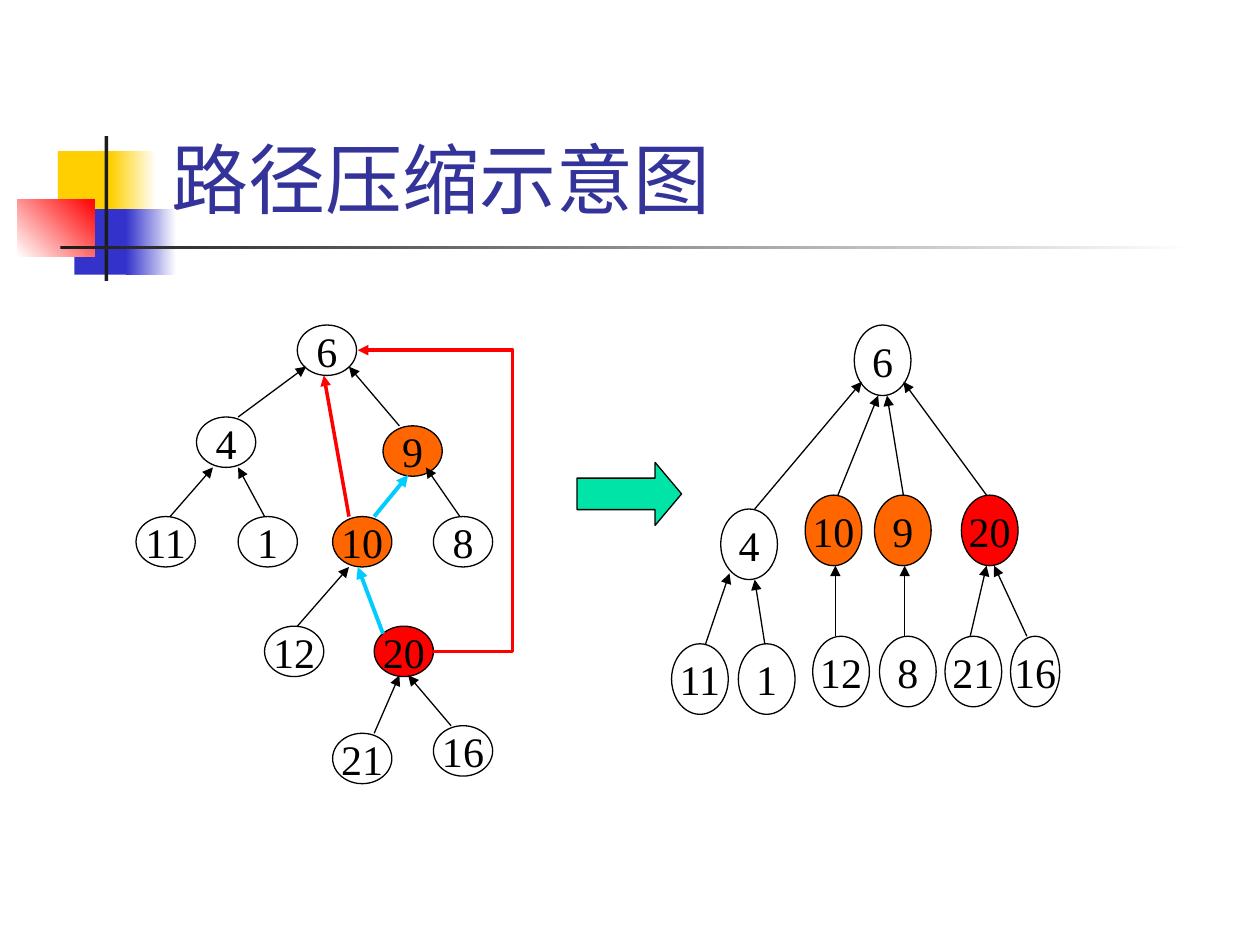
from lxml import etree
from pptx import Presentation
from pptx.dml.color import RGBColor
from pptx.enum import shapes, text
from pptx.oxml.ns import qn
from pptx.util import Inches, Pt

BLACK = RGBColor(0x00, 0x00, 0x00)
WHITE = RGBColor(0xFF, 0xFF, 0xFF)
RED = RGBColor(0xFF, 0x00, 0x00)
ORANGE = RGBColor(0xFF, 0x66, 0x00)
SKY = RGBColor(0x00, 0xCC, 0xFF)
GREEN = RGBColor(0x00, 0xE4, 0xA8)
YELLOW = RGBColor(0xFF, 0xCF, 0x01)
BLUE = RGBColor(0x33, 0x33, 0xCC)
INK = RGBColor(0x1C, 0x1C, 0x1C)
NAVY = RGBColor(0x33, 0x33, 0x99)

TITLE = "路径压缩示意图"
# box (left, top, width, height), start colour, end colour, gradient angle
ORNAMENTS = [
    ((0.46, 1.2, 0.48, 0.52), YELLOW, None, 0),
    ((0.88, 1.2, 0.36, 0.52), YELLOW, WHITE, 0),
    ((0.59, 1.66, 0.46, 0.52), BLUE, None, 0),
    ((1, 1.66, 0.4, 0.52), BLUE, WHITE, 0),
    ((0.14, 1.58, 0.61, 0.46), WHITE, RED, 45),
    ((0.83, 1.08, 0.03, 1.15), INK, None, 0),
    ((0.48, 1.95, 9, 0.03), INK, WHITE, 0),
]

# Nodes: label -> (left, top). Edges: (child point, parent point).
BEFORE = {
    "size": (0.47, 0.4),
    "nodes": {
        "6": (2.36, 2.58), "4": (1.56, 3.31), "9": (3.04, 3.38),
        "11": (1.08, 4.1), "1": (1.89, 4.1), "10": (2.64, 4.1), "8": (3.44, 4.1),
        "12": (2.1, 4.97), "20": (2.97, 4.97), "21": (2.64, 5.82), "16": (3.44, 5.76),
    },
    "edges": [
        ((3.17, 3.38), (2.77, 2.91)), ((3.65, 4.1), (3.38, 3.71)),
        ((2.36, 4.97), (2.77, 4.5)), ((2.97, 5.82), (3.17, 5.36)),
        ((3.58, 5.76), (3.24, 5.36)), ((1.89, 3.31), (2.43, 2.91)),
        ((1.35, 4.1), (1.69, 3.71)), ((2.1, 4.1), (1.89, 3.71)),
    ],
}
AFTER = {
    "size": (0.45, 0.56),
    "nodes": {
        "6": (6.78, 2.58), "4": (5.72, 4.04), "10": (6.39, 3.93), "9": (6.94, 3.93),
        "20": (7.63, 3.93), "11": (5.33, 5.11), "1": (5.86, 5.11), "12": (6.45, 5.05),
        "8": (6.98, 5.05), "21": (7.5, 5.05), "16": (8.02, 5.05),
    },
    "edges": [
        ((5.99, 4.04), (6.84, 3.03)), ((6.65, 3.93), (6.97, 3.14)),
        ((7.17, 3.93), (7.04, 3.14)), ((7.83, 3.93), (7.17, 3.03)),
        ((5.6, 5.11), (5.79, 4.55)), ((6.07, 5.11), (5.99, 4.6)),
        ((6.63, 5.05), (6.63, 4.49)), ((7.18, 5.05), (7.18, 4.49)),
        ((7.7, 5.05), (7.83, 4.49)), ((8.15, 5.05), (7.89, 4.49)),
    ],
}
NODE_FILLS = {"9": ORANGE, "10": ORANGE, "20": RED}
NODE_WIDTHS = {(8.02, 5.05): 0.39}  # the one narrower node
FIND_PATH = [((2.97, 4.1), (3.24, 3.77)), ((3.04, 5.03), (2.84, 4.5))]
NEW_LINK = ((2.77, 4.1), (2.57, 2.98))
NEW_BENT_LINK = ((3.44, 5.17), (2.84, 2.78))
BENT_LINK_X = 4.07
STEP_ARROW = (4.58, 3.67, 0.83, 0.5)

NODE_FONT = {"size": Pt(24), "name": "Times New Roman"}
TITLE_FONT = {"size": Pt(44), "name": "Arial"}


def set_font(font, values, color):
    for name, value in values.items():
        setattr(font, name, value)
    font.color.rgb = color


def add_box(parent, kind, box, fill, outlined=True):
    shape = parent.add_shape(kind, *map(Inches, box))
    shape.shadow.inherit = False
    shape.fill.solid()
    shape.fill.fore_color.rgb = fill
    if outlined:
        shape.line.color.rgb = BLACK
        shape.line.width = Pt(0.75)
    else:
        shape.line.fill.background()
    return shape


def add_ornament(parent, box, start, end, angle):
    shape = add_box(parent, shapes.MSO_SHAPE.RECTANGLE, box, start, outlined=False)
    if end is not None:
        shape.fill.gradient()
        shape.fill.gradient_angle = angle
        for stop, color in zip(shape.fill.gradient_stops, (start, end)):
            stop.color.rgb = color


def add_node(parent, label, box):
    node = add_box(parent, shapes.MSO_SHAPE.OVAL, box, NODE_FILLS.get(label, WHITE))
    frame = node.text_frame
    frame.word_wrap = False
    frame.vertical_anchor = text.MSO_ANCHOR.MIDDLE
    frame.text = label
    paragraph = frame.paragraphs[0]
    paragraph.alignment = text.PP_ALIGN.CENTER
    set_font(paragraph.runs[0].font, NODE_FONT, BLACK)


def add_arrow(parent, start, end, color=BLACK, width=0.75,
              kind=shapes.MSO_CONNECTOR.STRAIGHT):
    arrow = parent.add_connector(kind, *map(Inches, start + end))
    arrow.line.color.rgb = color
    arrow.line.width = Pt(width)
    etree.SubElement(arrow.line._get_or_add_ln(), qn("a:tailEnd"), type="triangle")
    etree.SubElement(arrow._element.spPr, qn("a:effectLst"))
    return arrow


def add_tree(slide, tree):
    """Draw one tree as a group and return the group's shapes."""
    parent = slide.shapes.add_group_shape().shapes
    width, height = tree["size"]
    for label, corner in tree["nodes"].items():
        add_node(parent, label, (*corner, NODE_WIDTHS.get(corner, width), height))
    for start, end in tree["edges"]:
        add_arrow(parent, start, end)
    return parent


def add_bent_link(parent, start, end, bend_x):
    link = add_arrow(parent, start, end, RED, 2, shapes.MSO_CONNECTOR.ELBOW)
    bend = (bend_x - start[0]) / (end[0] - start[0])
    guides = link._element.spPr.find(qn("a:prstGeom")).get_or_add_avLst()
    etree.SubElement(guides, qn("a:gd"), name="adj1", fmla=f"val {round(bend * 100000)}")


def main():
    deck = Presentation()
    deck.slide_width, deck.slide_height = Inches(10), Inches(7.5)
    slide = deck.slides.add_slide(deck.slide_layouts[5])

    for ornament in ORNAMENTS:
        add_ornament(slide.shapes, *ornament)

    title = slide.shapes.title
    title.left, title.top, title.width, title.height = map(Inches, (1.26, 0.23, 8.52, 1.6))
    title.text_frame.text = TITLE
    title.text_frame.vertical_anchor = text.MSO_ANCHOR.BOTTOM
    heading = title.text_frame.paragraphs[0]
    heading.alignment = text.PP_ALIGN.LEFT
    set_font(heading.runs[0].font, TITLE_FONT, NAVY)

    before = add_tree(slide, BEFORE)
    for start, end in FIND_PATH:
        add_arrow(before, start, end, SKY, 2.25)
    add_arrow(before, *NEW_LINK, RED, 2)
    add_bent_link(before, *NEW_BENT_LINK, BENT_LINK_X)

    add_tree(slide, AFTER)
    step = add_box(slide.shapes, shapes.MSO_SHAPE.RIGHT_ARROW, STEP_ARROW, GREEN)
    step.adjustments[1] = 0.42

    deck.save("out.pptx")


if __name__ == "__main__":
    main()
